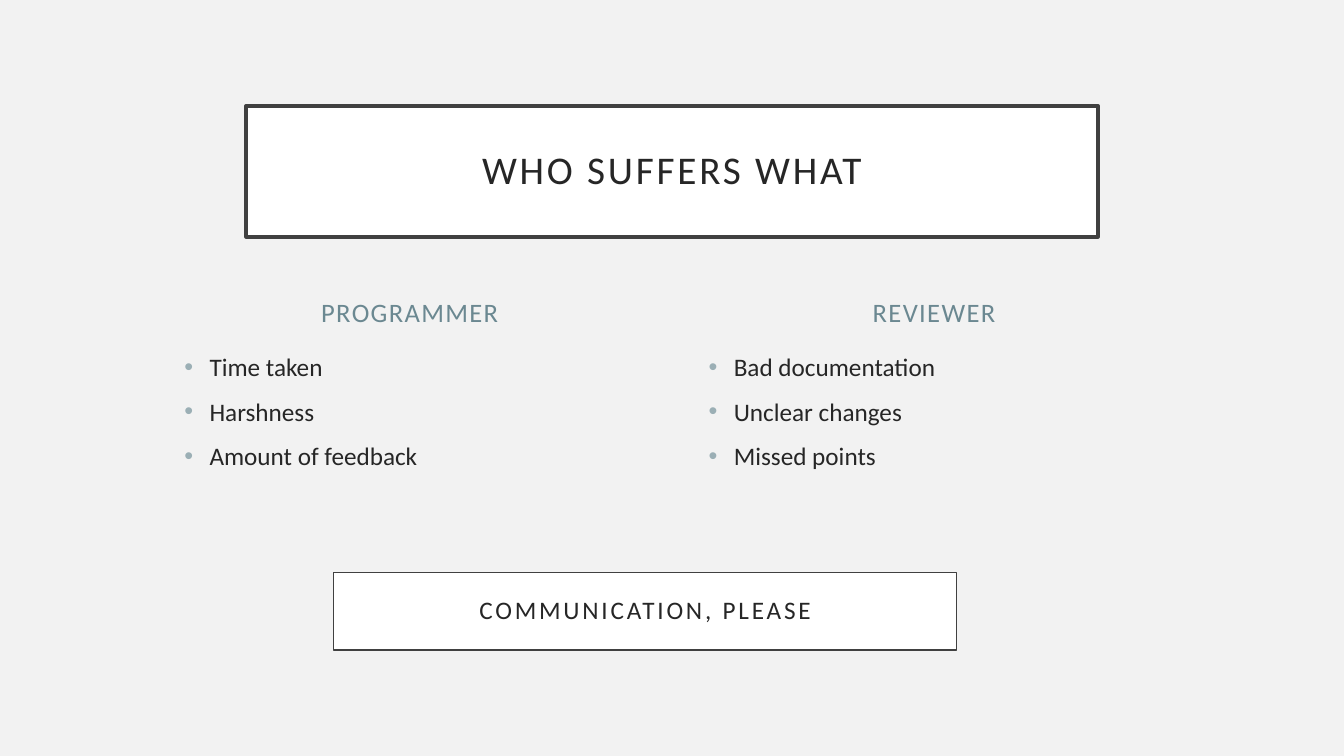
from lxml.etree import SubElement
from pptx import Presentation
from pptx.dml.color import RGBColor
from pptx.enum.shapes import MSO_SHAPE as Shape
from pptx.enum.text import MSO_ANCHOR as Anchor, PP_ALIGN as Align
from pptx.oxml.ns import qn
from pptx.util import Inches, Pt

COLORS = {
    "background": "F2F2F2",
    "panel": "FFFFFF",
    "border": "404040",
    "text": "262626",
    "heading": "6B8891",
    "bullet": "9BAFB5",
}
COLUMNS = [
    (1.73, "PROGRAMMER", ["Time taken", "Harshness", "Amount of feedback"]),
    (6.93, "REVIEWER", ["Bad documentation", "Unclear changes", "Missed points"]),
]


def color(name):
    return RGBColor.from_string(COLORS[name])


def apply(target, formats):
    for name, value in formats.items():
        setattr(target, name, value)


class SlideBuilder:
    """Holds the text style and the current slide."""

    font = "Calibri"

    def __init__(self, deck):
        self.page = deck.slides.add_slide(deck.slide_layouts[6])
        fill = self.page.background.fill
        fill.solid()
        fill.fore_color.rgb = color("background")

    def add_span(self, para, text, size, ink="text", spacing=0):
        """Add one run; spacing is the letter spacing in points."""
        span = para.add_run()
        span.text = text
        apply(span.font, {"name": self.font, "size": Pt(size)})
        span.font.color.rgb = color(ink)
        if spacing:
            span._r.get_or_add_rPr().set("spc", str(spacing * 100))

    def text_box(self, area, anchor):
        box = self.page.shapes.add_textbox(*map(Inches, area))
        apply(box.text_frame, {"word_wrap": True, "vertical_anchor": anchor})
        return box.text_frame

    def heading(self, area, text):
        para = self.text_box(area, Anchor.BOTTOM).paragraphs[0]
        para.alignment = Align.CENTER
        self.add_span(para, text, 19, "heading", 1)

    def bullets(self, area, items):
        frame = self.text_box(area, Anchor.TOP)
        for index, item in enumerate(items):
            para = frame.add_paragraph() if index else frame.paragraphs[0]
            props = para._p.get_or_add_pPr()
            props.set("marL", str(Inches(0.25)))
            props.set("indent", str(Inches(-0.25)))
            tint = SubElement(props, qn("a:buClr"))
            SubElement(tint, qn("a:srgbClr")).set("val", COLORS["bullet"])
            SubElement(props, qn("a:buFont")).set("typeface", "Arial")
            SubElement(props, qn("a:buChar")).set("char", "•")
            if index:
                para.space_before = Pt(10)
            self.add_span(para, item, 18)

    def panel(self, area, text, size, border):
        box = self.page.shapes.add_shape(Shape.RECTANGLE, *map(Inches, area))
        box.shadow.inherit = False
        box.fill.solid()
        box.fill.fore_color.rgb = color("panel")
        box.line.color.rgb = color("border")
        box.line.width = Pt(border)
        frame = box.text_frame
        margins = {f"margin_{side}": Inches(0.2)
                   for side in ("left", "top", "right", "bottom")}
        apply(frame, {"word_wrap": True, "vertical_anchor": Anchor.MIDDLE, **margins})
        para = frame.paragraphs[0]
        apply(para, {"alignment": Align.CENTER, "line_spacing": 0.9})
        self.add_span(para, text, size, spacing=2)


def main():
    deck = Presentation()
    apply(deck, {"slide_width": Inches(13.33), "slide_height": Inches(7.5)})
    slide = SlideBuilder(deck)
    slide.panel((2.44, 1.05, 8.45, 1.3), "WHO SUFFERS WHAT", 28, 2.5)
    for left, title, items in COLUMNS:
        slide.heading((left, 2.53, 4.67, 0.77), title)
        slide.bullets((left, 3.44, 4.67, 1.65), items)
    slide.panel((3.31, 5.68, 6.18, 0.77), "COMMUNICATION, PLEASE", 18, 1)
    deck.save("out.pptx")


if __name__ == "__main__":
    main()
